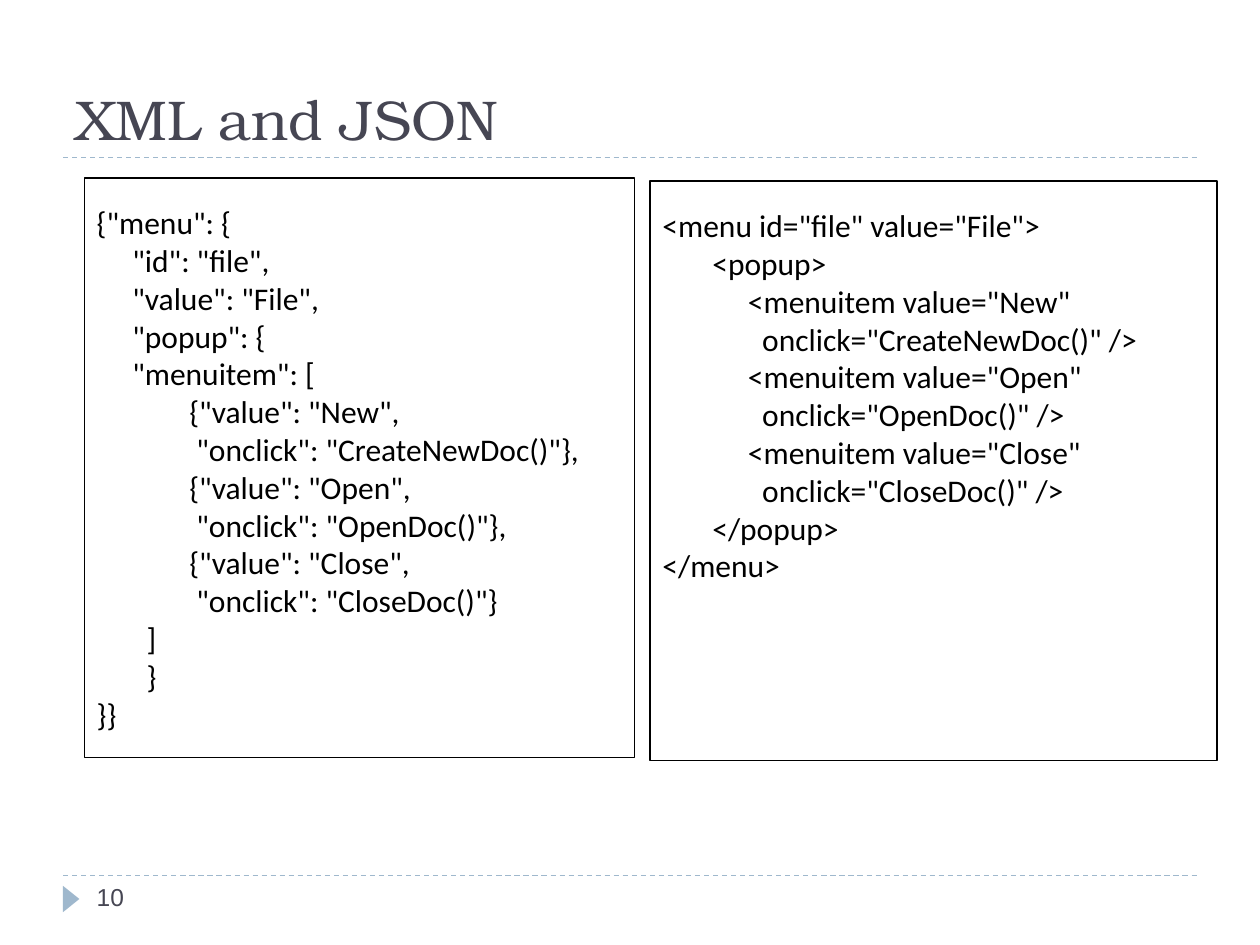
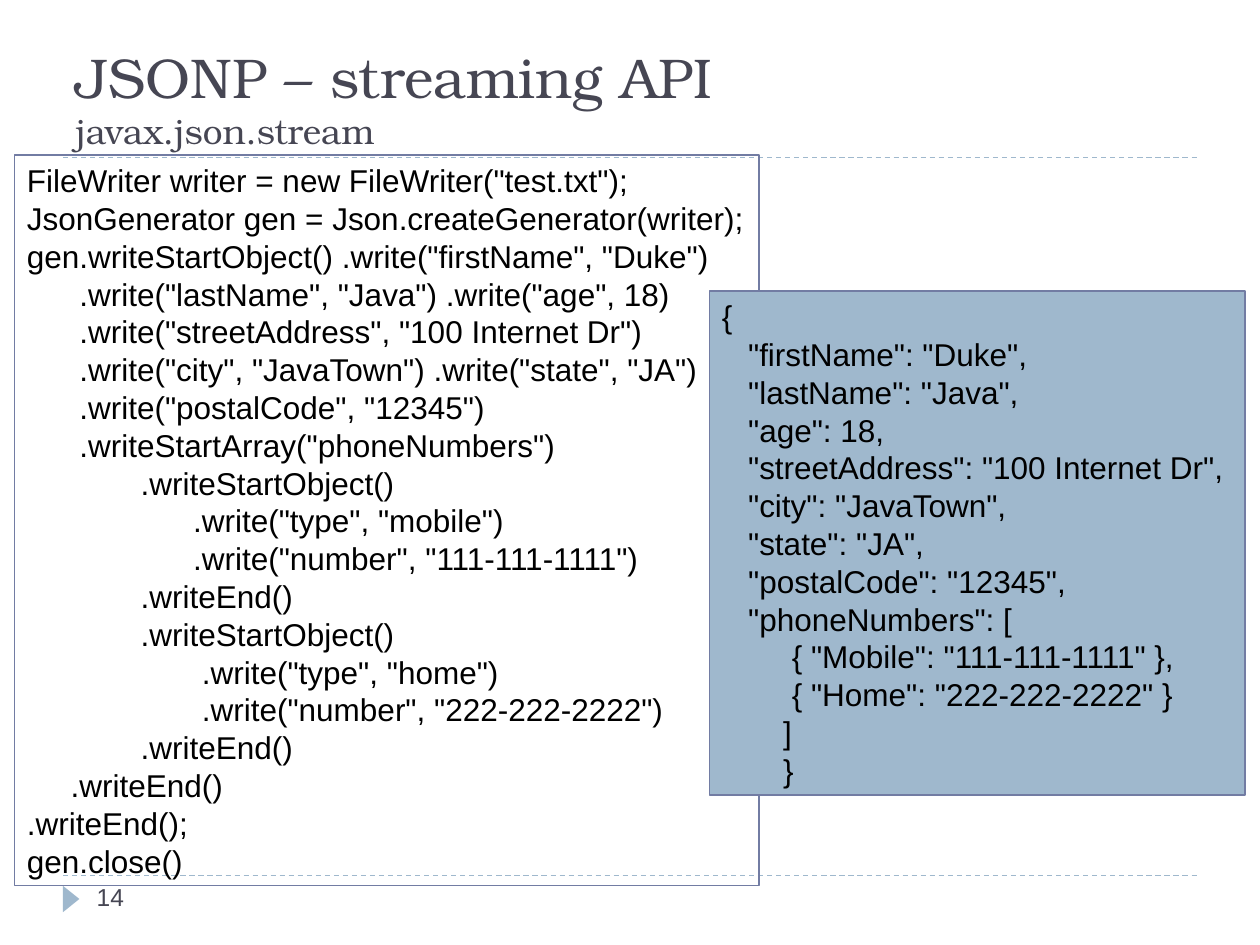
from pptx import Presentation
from pptx.dml.color import RGBColor
from pptx.enum import dml, shapes, text
from pptx.oxml.ns import qn
from pptx.util import Pt

COLOURS = {"ink": "464653", "code": "000000", "sky": "9FB8CD", "slate": "727CA3"}
TITLE_FONT = "TeX Gyre Bonum"
CODE_SIZE, LEADING = 18, 21.6
SPACE_WIDTH = {"Calibri": 4.07, "Arial": 5}
INSET_X, INSET_Y = 7.2, 3.6

MENU_JSON = """\
{"menu": {
     "id": "file",
     "value": "File",
     "popup": {
     "menuitem": [
             {"value": "New",
              "onclick": "CreateNewDoc()"},
             {"value": "Open",
              "onclick": "OpenDoc()"},
             {"value": "Close",
              "onclick": "CloseDoc()"}
       ]
       }
}}"""

MENU_XML = """\
<menu id="file" value="File">
       <popup>
            <menuitem value="New"
              onclick="CreateNewDoc()" />
            <menuitem value="Open"
              onclick="OpenDoc()" />
            <menuitem value="Close"
              onclick="CloseDoc()" />
       </popup>
</menu>"""

GENERATOR_CODE = """\
FileWriter writer = new FileWriter("test.txt");
JsonGenerator gen = Json.createGenerator(writer);
gen.writeStartObject() .write("firstName", "Duke")
      .write("lastName", "Java") .write("age", 18)
      .write("streetAddress", "100 Internet Dr")
      .write("city", "JavaTown") .write("state", "JA")
      .write("postalCode", "12345")
      .writeStartArray("phoneNumbers")
             .writeStartObject()
                   .write("type", "mobile")
                   .write("number", "111-111-1111")
             .writeEnd()
             .writeStartObject()
                    .write("type", "home")
                    .write("number", "222-222-2222")
             .writeEnd()
     .writeEnd()
.writeEnd();
gen.close()"""

GENERATED_JSON = """\
{
   "firstName": "Duke",
   "lastName": "Java",
   "age": 18,
   "streetAddress": "100 Internet Dr",
   "city": "JavaTown",
   "state": "JA",
   "postalCode": "12345",
   "phoneNumbers": [
        { "Mobile": "111-111-1111" },
        { "Home": "222-222-2222" }
       ]
       }"""

# Listings: code, (left, top, width), rows of height, padding, font, line, fill
SLIDES = [
    {"number": "10", "title": [("XML and JSON", 32)], "listings": [
        (MENU_JSON, (48.2, 101.8, 314.6), 15, LEADING / 2, "Calibri", "code", None),
        (MENU_XML, (371.5, 103.4, 324), 15, LEADING / 2, "Calibri", "code", None)]},
    {"number": "14",
     "title": [("JSONP – streaming API", 32), ("javax.json.stream", 20)],
     "listings": [
         (GENERATOR_CODE, (8.3, 88.6, 425.5), 19, 0, "Arial", "slate", None),
         (GENERATED_JSON, (405.4, 166.3, 306), 13, 0, "Arial", "slate", "sky")]},
]


def colour(name):
    return RGBColor.from_string(COLOURS[name])


def points(*values):
    return [Pt(value) for value in values]


def add_span(para, words, font, size, ink):
    span = para.add_run()
    span.text = words
    span.font.name, span.font.size = font, Pt(size)
    span.font.color.rgb = colour(ink)


def set_frame(frame, anchor=text.MSO_ANCHOR.TOP, padding=0):
    frame.word_wrap = True
    frame.vertical_anchor = anchor
    frame.margin_left = frame.margin_right = Pt(INSET_X)
    frame.margin_top = Pt(INSET_Y + padding)
    frame.margin_bottom = Pt(INSET_Y)


def add_rule(page, y):
    rule = page.shapes.add_connector(
        shapes.MSO_CONNECTOR.STRAIGHT, *points(36, y, 684, y))
    rule.line.color.rgb = colour("sky")
    rule.line.width = Pt(0.75)
    rule.line.dash_style = dml.MSO_LINE.DASH
    properties = rule._element.spPr
    properties.append(properties.makeelement(qn("a:effectLst"), {}))


def add_furniture(page, number):
    """Add the two rules, the footer marker and the page number."""
    for y in (500.4, 90):
        add_rule(page, y)
    marker = page.shapes.add_shape(
        shapes.MSO_SHAPE.ISOSCELES_TRIANGLE, *points(33.1, 509, 15.1, 9.4))
    marker.rotation = 90
    marker.shadow.inherit = False
    marker.fill.solid()
    marker.fill.fore_color.rgb = colour("sky")
    marker.line.fill.background()
    box = page.shapes.add_textbox(*points(48.2, 500.4, 156.2, 28.8))
    set_frame(box.text_frame)
    add_span(box.text_frame.paragraphs[0], number, "Arial", 14, "ink")


def add_listing(page, code, place, rows, padding, font, line, fill):
    """Add a framed code listing whose leading spaces become indents."""
    height = rows * LEADING + 2 * INSET_Y
    box = page.shapes.add_shape(
        shapes.MSO_SHAPE.RECTANGLE, *points(*place, height))
    box.shadow.inherit = False
    box.line.color.rgb = colour(line)
    box.line.width = Pt(0.75)
    if fill:
        box.fill.solid()
        box.fill.fore_color.rgb = colour(fill)
    else:
        box.fill.background()
    frame = box.text_frame
    set_frame(frame, padding=padding)
    for index, row in enumerate(code.splitlines()):
        para = frame.add_paragraph() if index else frame.paragraphs[0]
        words = row.lstrip()
        indent = (len(row) - len(words)) * SPACE_WIDTH[font]
        para.alignment = text.PP_ALIGN.LEFT
        para.line_spacing = Pt(LEADING)
        para._p.get_or_add_pPr().set("marL", str(Pt(indent)))
        add_span(para, words, font, CODE_SIZE, "code")


def add_title(page, lines):
    box = page.shapes.add_textbox(*points(36, 12.2, 648, 77.8))
    set_frame(box.text_frame, text.MSO_ANCHOR.BOTTOM)
    para = box.text_frame.paragraphs[0]
    for index, (words, size) in enumerate(lines):
        if index:
            para.add_line_break()
        add_span(para, words, TITLE_FONT, size, "ink")


def main():
    deck = Presentation()
    deck.slide_width, deck.slide_height = points(720, 540)
    for content in SLIDES:
        page = deck.slides.add_slide(deck.slide_layouts[6])
        add_furniture(page, content["number"])
        for listing in content["listings"]:
            add_listing(page, *listing)
        add_title(page, content["title"])
    deck.save("out.pptx")


if __name__ == "__main__":
    main()
